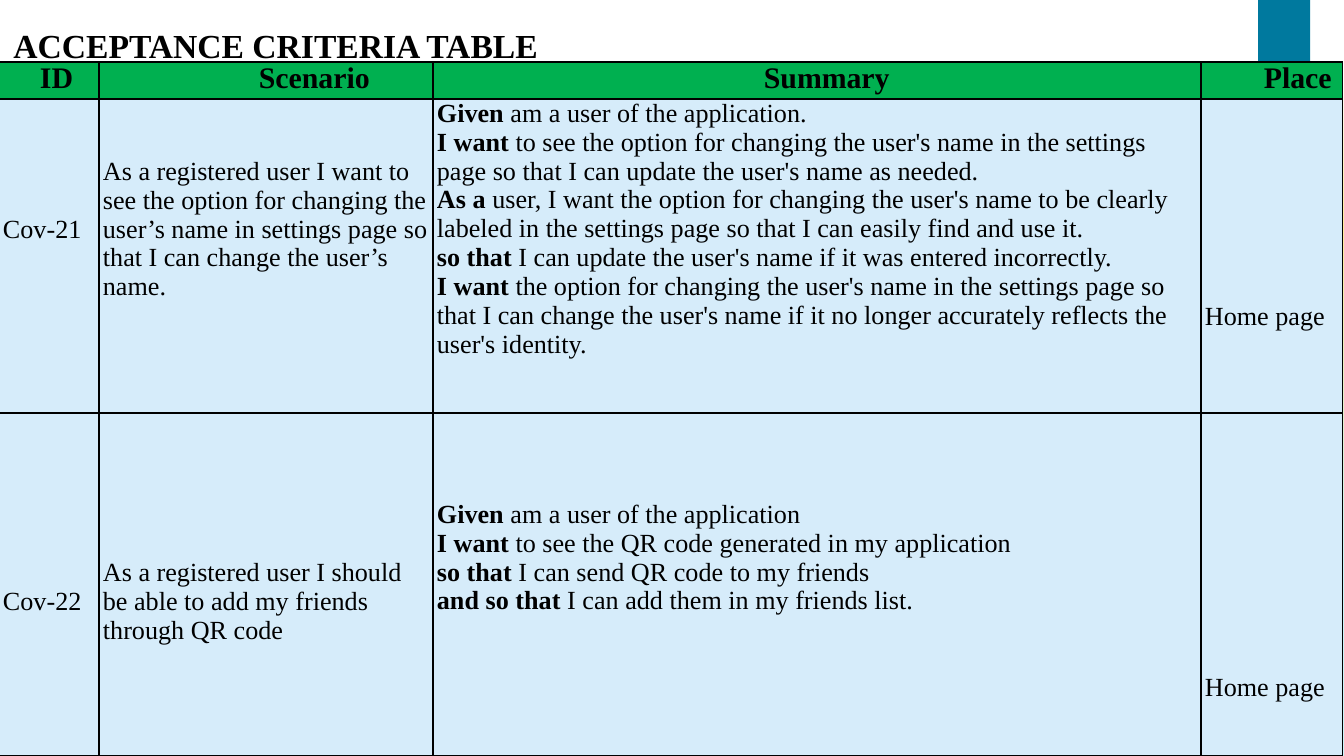
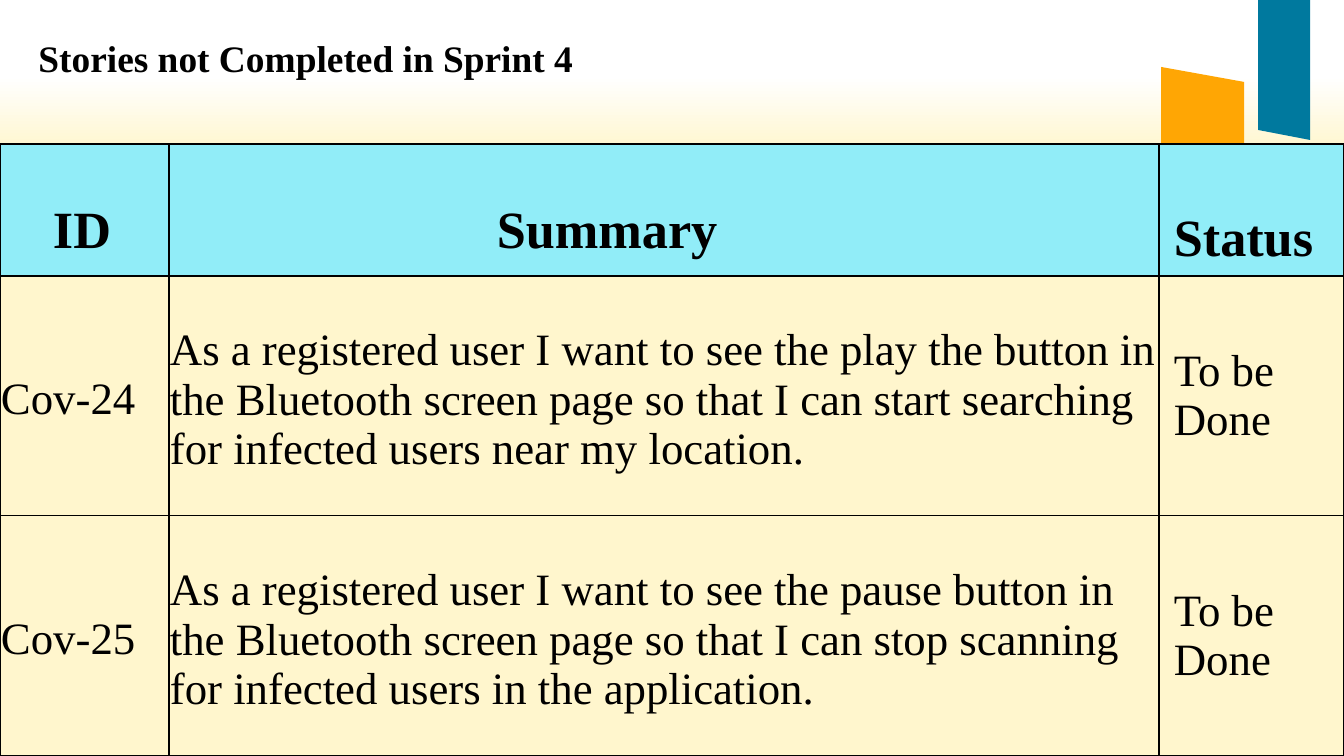
from dataclasses import dataclass

from pptx import Presentation
from pptx.dml.color import RGBColor
from pptx.enum.text import MSO_ANCHOR, MSO_AUTO_SIZE, PP_ALIGN
from pptx.oxml import parse_xml
from pptx.oxml.ns import nsdecls
from pptx.util import Emu, Pt

PX_PER_INCH = 134.4
SCALE = 914400 / PX_PER_INCH
LINE_PITCH = 1.107 * PX_PER_INCH / 72


def px(length):
    return Emu(round(length * SCALE))


@dataclass(frozen=True)
class Theme:
    font: str = "Times New Roman"
    ink: str = "000000"
    blue: str = "00799E"
    teal: str = "0DB8CC"
    mint: str = "32E4C8"
    orange: str = "FFA604"
    green_header: str = "00B050"
    pale_blue: str = "D6ECFA"
    cyan_header: str = "91EDF8"
    cream: str = "FFF6CD"
    backdrop: tuple = ((10, "FFFFFF"), (30, "FFED9B"), (76, "C8F6FB"), (100, "C8F6FB"))
    border_width: float = 0.75
    caps_title: int = 18
    story_title: int = 20
    criteria_header: int = 16
    criteria_body: int = 14
    story_header: int = 28
    story_body: int = 24


@dataclass(frozen=True)
class Entry:
    paragraphs: tuple
    lead: int = 0
    indent: int = 0
    middle: bool = False


def plain(text, lead=0, indent=0, middle=False):
    return Entry((("", text),), lead, indent, middle)


def heading(text, indent, lead=0, middle=False):
    return Entry(((text, ""),), lead, indent, middle)


class SlideBuilder:
    def __init__(self, theme):
        self.theme = theme
        self.deck = Presentation()
        self.deck.slide_width = px(1344)
        self.deck.slide_height = px(756)
        self.page = None

    def new_page(self):
        self.page = self.deck.slides.add_slide(self.deck.slide_layouts[5])

    def backdrop(self):
        master = self.deck.slide_master
        fill = master.background.fill
        fill.gradient()
        fill.gradient_angle = 270
        stops = master.element.xpath(".//p:bg//a:gsLst")[0]
        for stop in list(stops):
            stops.remove(stop)
        for percent, color in self.theme.backdrop:
            stops.append(parse_xml(
                f'<a:gs {nsdecls("a")} pos="{percent * 1000}">'
                f'<a:srgbClr val="{color}"/></a:gs>'
            ))

    def master_band(self, left, right, tops, bottoms, color):
        outline = self.page.shapes.build_freeform(left, tops[0], scale=SCALE)
        outline.add_line_segments(
            [(right, tops[1]), (right, bottoms[1]), (left, bottoms[0])], close=True
        )
        band = outline.convert_to_shape()
        band.shadow.inherit = False
        band.fill.solid()
        band.fill.fore_color.rgb = RGBColor.from_string(color)
        band.line.fill.background()
        master_shapes = self.deck.slide_master.shapes
        band.element.nvSpPr.cNvPr.set("id", str(len(master_shapes) + 20))
        master_shapes.element.append(band.element)

    def style_span(self, span, size, bold):
        span.font.name = self.theme.font
        span.font.size = Pt(size)
        span.font.bold = bold
        span.font.color.rgb = RGBColor.from_string(self.theme.ink)

    def title(self, text, left, top, width, height, size):
        box = self.page.shapes.title
        box.left, box.top, box.width, box.height = map(px, (left, top, width, height))
        frame = box.text_frame
        frame.text = text
        frame.word_wrap = True
        frame.auto_size = MSO_AUTO_SIZE.NONE
        frame.vertical_anchor = MSO_ANCHOR.TOP
        para = frame.paragraphs[0]
        para.alignment = PP_ALIGN.LEFT
        self.style_span(para.runs[0], size, True)

    def border(self, cell):
        properties = cell._tc.get_or_add_tcPr()
        for index, side in enumerate(("lnL", "lnR", "lnT", "lnB")):
            properties.insert(index, parse_xml(
                f'<a:{side} {nsdecls("a")} w="{Pt(self.theme.border_width)}">'
                f'<a:solidFill><a:srgbClr val="{self.theme.ink}"/></a:solidFill></a:{side}>'
            ))

    def cell(self, cell, entry, size, color, margin):
        cell.fill.solid()
        cell.fill.fore_color.rgb = RGBColor.from_string(color)
        self.border(cell)
        cell.margin_left = px(entry.indent or margin)
        cell.margin_right = px(margin)
        cell.margin_top = px(round(entry.lead * size * LINE_PITCH))
        cell.margin_bottom = px(0)
        cell.vertical_anchor = MSO_ANCHOR.MIDDLE if entry.middle else MSO_ANCHOR.TOP
        frame = cell.text_frame
        for index, parts in enumerate(entry.paragraphs):
            para = frame.add_paragraph() if index else frame.paragraphs[0]
            for text, bold in zip(parts, (True, False)):
                if text:
                    span = para.add_run()
                    span.text = text
                    self.style_span(span, size, bold)

    def table(self, left, top, widths, heights, rows, sizes, colors, margin):
        frame = self.page.shapes.add_table(
            len(rows), len(widths), px(left), px(top), px(sum(widths)), px(sum(heights))
        )
        table = frame.table
        table.first_row = False
        table.horz_banding = False
        for column, width in zip(table.columns, widths):
            column.width = px(width)
        for index, (row, height, entries) in enumerate(zip(table.rows, heights, rows)):
            row.height = px(height)
            kind = min(index, 1)
            for cell, entry in zip(row.cells, entries):
                self.cell(cell, entry, sizes[kind], colors[kind], margin)


def add_bands(builder):
    theme = builder.theme
    narrow, wide = (1258, 1310), (1161, 1244)
    for column, tops, bottoms, color in (
        (narrow, (516, 526), (756, 756), theme.teal),
        (narrow, (144, 153), (276, 285), theme.mint),
        (narrow, (0, 0), (130, 140), theme.blue),
        (wide, (67, 82), (156, 172), theme.orange),
        (wide, (672, 688), (756, 756), theme.blue),
        (wide, (171, 185), (659, 673), theme.teal),
    ):
        builder.master_band(*column, tops, bottoms, color)


def add_criteria(builder):
    theme = builder.theme
    builder.title("ACCEPTANCE CRITERIA TABLE", 0, 18, 672, 54, theme.caps_title)
    name_change = Entry((
        ("Given", " am a user of the application."),
        ("I want ", "to see the option for changing the user's name in the settings page "
                    "so that I can update the user's name as needed."),
        ("As a ", "user, I want the option for changing the user's name to be clearly labeled "
                  "in the settings page so that I can easily find and use it."),
        ("so that ", "I can update the user's name if it was entered incorrectly."),
        ("I want ", "the option for changing the user's name in the settings page so that I can "
                    "change the user's name if it no longer accurately reflects the user's identity."),
    ))
    friend_code = Entry((
        ("Given", " am a user of the application"),
        ("I want ", "to see the QR code generated in my application"),
        ("so that ", "I can send QR code to my friends"),
        ("and so that ", "I can add them in my friends list."),
    ), lead=3)
    rows = (
        (heading("ID", 41), heading("Scenario", 160), heading("Summary", 331),
         heading("Place", 63)),
        (plain("Cov-21", 4),
         plain("As a registered user I want to see the option for changing the user’s name "
               "in settings page so that I can change the user’s name.", 2),
         name_change, plain("Home page", 7)),
        (plain("Cov-22", 6),
         plain("As a registered user I should be able to add my friends through QR code", 5),
         friend_code, plain("Home page", 9)),
    )
    builder.table(-1, 62, (100, 334, 768, 142), (37, 314, 343), rows,
                  (theme.criteria_header, theme.criteria_body),
                  (theme.green_header, theme.pale_blue), 4)


def add_unfinished_stories(builder):
    theme = builder.theme
    builder.title("Stories not Completed in Sprint 4", 25, 28, 567, 103, theme.story_title)
    stories = (
        ("Cov-24", "As a registered user I want to see the play the button in the Bluetooth screen "
                   "page so that I can start searching for infected users near my location."),
        ("Cov-25", "As a registered user I want to see the pause button in the Bluetooth screen "
                   "page so that I can stop scanning for infected users in the application."),
    )
    rows = [(heading("ID", 53, 1), heading("Summary", 328, 1), heading("Status", 15, 1, True))]
    for story, summary in stories:
        rows.append((plain(story, 2), plain(summary, 1), plain("To be Done", 0, 15, True)))
    builder.table(0, 144, (169, 990, 185), (132, 240, 240), rows,
                  (theme.story_header, theme.story_body),
                  (theme.cyan_header, theme.cream), 1)


def main():
    builder = SlideBuilder(Theme())
    builder.backdrop()
    builder.new_page()
    add_bands(builder)
    add_criteria(builder)
    builder.new_page()
    add_unfinished_stories(builder)
    builder.deck.save("out.pptx")


if __name__ == "__main__":
    main()
